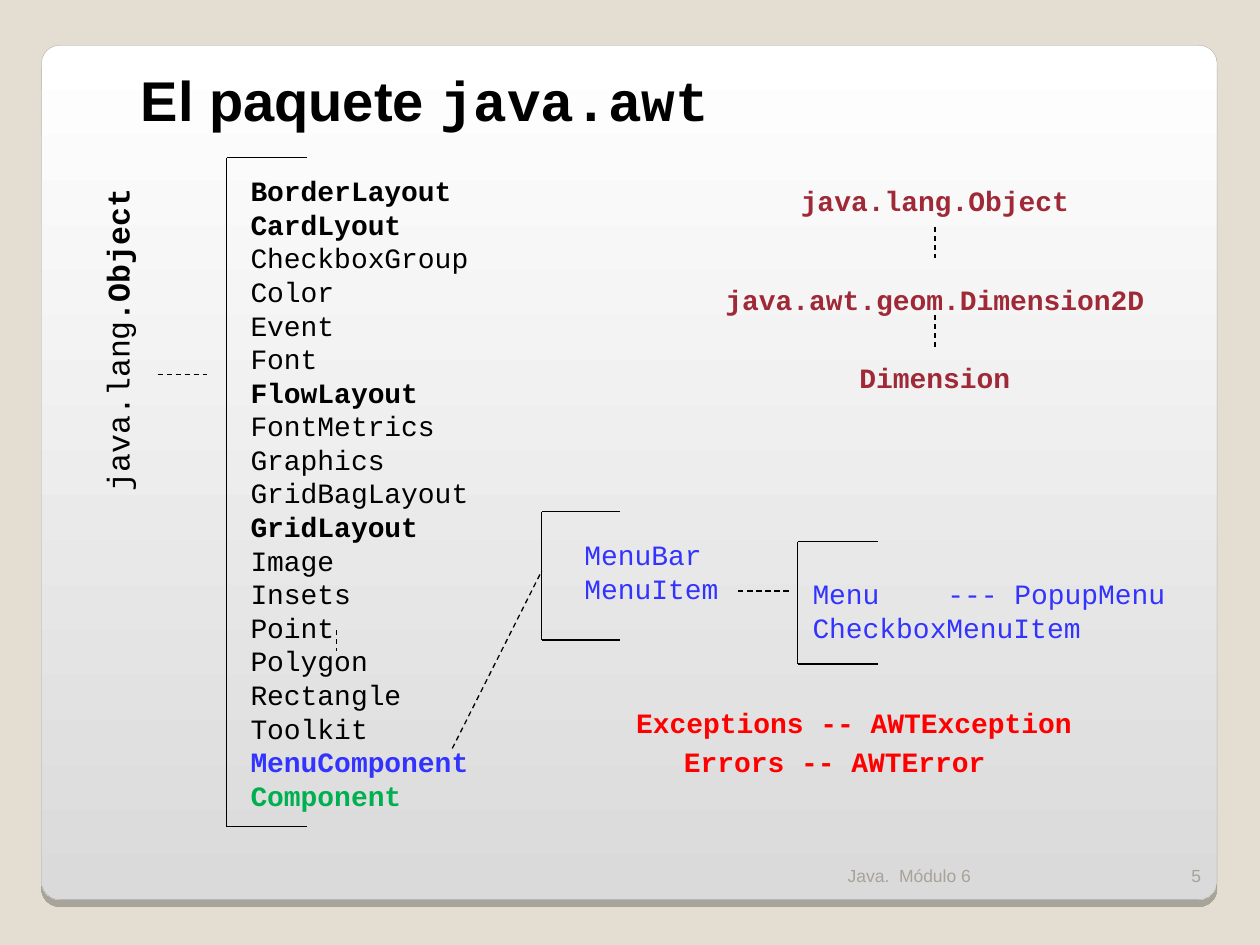
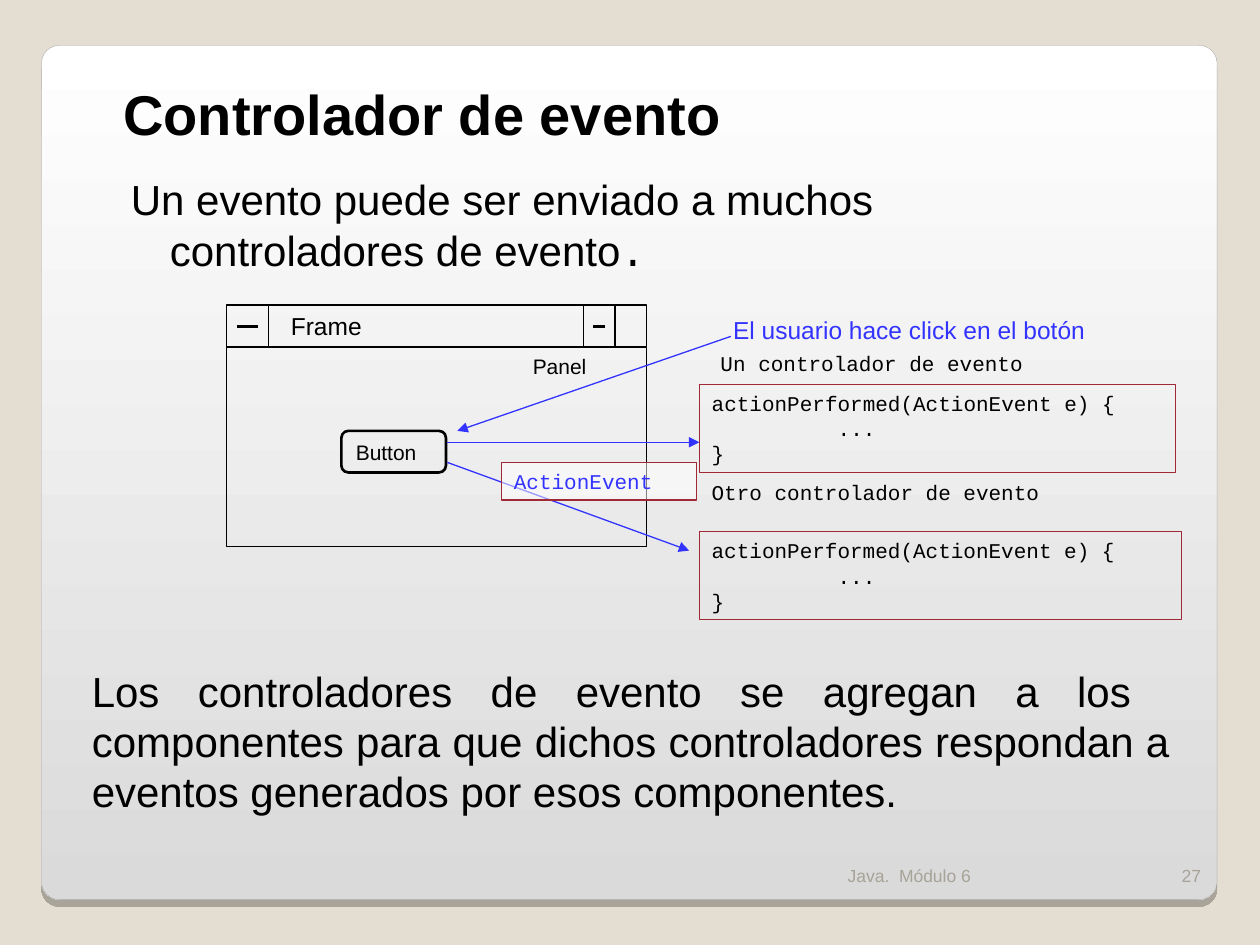
from lxml.etree import SubElement
from pptx import Presentation
from pptx.dml.color import RGBColor
from pptx.enum.dml import MSO_LINE
from pptx.enum.shapes import MSO_CONNECTOR, MSO_SHAPE
from pptx.enum.text import MSO_ANCHOR, PP_ALIGN
from pptx.oxml.ns import qn
from pptx.util import Inches, Pt

COLORS = {
    "background": "E3DED1", "panel_top": "FFFFFF", "panel_bottom": "DADADA",
    "panel_line": "A4A3A3", "footer": "A7A399", "black": "000000",
    "white": "FFFFFF", "blue": "3333FF", "green": "00B050",
    "red": "FF0000", "wine": "9F2936",
}
SANS, MONO = "Arial", "Courier New"
FOOTER = "Java.  Módulo 6"
LAYOUT_CLASSES = {"BorderLayout", "CardLyout", "FlowLayout", "GridLayout"}
CLASSES = [
    "BorderLayout", "CardLyout", "CheckboxGroup", "Color", "Event", "Font",
    "FlowLayout", "FontMetrics", "Graphics", "GridBagLayout", "GridLayout",
    "Image", "Insets", "Point", "Polygon", "Rectangle", "Toolkit",
    "MenuComponent", "Component",
]
COMPONENT_COLORS = {"MenuComponent": "blue", "Component": "green"}
HANDLER_CODE = ["actionPerformed(ActionEvent e) {", "\t...", "}"]


def rgb(name):
    """Return the named colour."""
    return RGBColor.from_string(COLORS[name])


def add_tab(paragraph, position):
    """Give a paragraph one left tab stop."""
    tabs = SubElement(paragraph._p.get_or_add_pPr(), qn("a:tabLst"))
    SubElement(tabs, qn("a:tab"), pos=str(Inches(position)), algn="l")


def write(shape, lines, size, font=SANS, color="black", bold=False,
          align=PP_ALIGN.LEFT, wrap=True, anchor=MSO_ANCHOR.TOP, tab=None):
    """Fill a shape with lines, each a string or a list of (text, style) runs."""
    frame = shape.text_frame
    frame.word_wrap = wrap
    frame.vertical_anchor = anchor
    for index, line in enumerate(lines):
        paragraph = frame.add_paragraph() if index else frame.paragraphs[0]
        paragraph.alignment = align
        if tab:
            add_tab(paragraph, tab)
        for text, style in [(line, {})] if isinstance(line, str) else line:
            run = paragraph.add_run()
            run.text = text
            run.font.size = Pt(size)
            run.font.name = style.get("font", font)
            run.font.bold = style.get("bold", bold)
            run.font.color.rgb = rgb(style.get("color", color))


def add_text(slide, left, top, width, height, lines, size, **style):
    """Add a text box and return it."""
    shape = slide.shapes.add_textbox(
        Inches(left), Inches(top), Inches(width), Inches(height))
    write(shape, lines, size, **style)
    return shape


def add_box(slide, left, top, width, height, line="black", weight=0.75,
            kind=MSO_SHAPE.RECTANGLE):
    """Add an unfilled outlined shape."""
    shape = slide.shapes.add_shape(
        kind, Inches(left), Inches(top), Inches(width), Inches(height))
    shape.shadow.inherit = False
    shape.fill.background()
    shape.line.color.rgb = rgb(line)
    shape.line.width = Pt(weight)
    return shape


def add_line(slide, start, end, color="black", weight=0.75, dashed=False,
             arrow=False):
    """Add a straight line, dashed or with an arrowhead if asked."""
    connector = slide.shapes.add_connector(
        MSO_CONNECTOR.STRAIGHT, *(Inches(value) for value in (*start, *end)))
    connector.line.color.rgb = rgb(color)
    connector.line.width = Pt(weight)
    if dashed:
        connector.line.dash_style = MSO_LINE.DASH
    if arrow:
        SubElement(connector.line._get_or_add_ln(), qn("a:tailEnd"), type="triangle")
    SubElement(connector._element.spPr, qn("a:effectLst"))
    return connector


def add_bracket(slide, left, top, width, height):
    """Draw a square bracket that opens to the right."""
    bottom = top + height
    add_line(slide, (left, top), (left, bottom))
    for edge in (top, bottom):
        add_line(slide, (left, edge), (left + width, edge))


def add_panel(slide, left, top, width, height):
    """Draw the rounded gradient panel with its lower edge shadow."""
    panel = add_box(slide, left, top, width, height, "panel_line", 0.17,
                    MSO_SHAPE.ROUNDED_RECTANGLE)
    panel.adjustments[0] = 0.021
    panel.fill.gradient()
    panel.fill.gradient_angle = 270
    for stop, name in zip(panel.fill.gradient_stops, ("panel_top", "panel_bottom")):
        stop.color.rgb = rgb(name)
    effects = panel._element.spPr.find(qn("a:effectLst"))
    shadow = SubElement(effects, qn("a:outerShdw"), blurRad="0",
                        dist=str(Pt(4)), dir="5400000", algn="t", rotWithShape="0")
    tint = SubElement(shadow, qn("a:srgbClr"), val=COLORS["black"])
    SubElement(tint, qn("a:alpha"), val="25000")


def add_base_slide(presentation, number, title, left, top):
    """Add a slide with background, panel, footer and title."""
    slide = presentation.slides.add_slide(presentation.slide_layouts[6])
    slide.background.fill.solid()
    slide.background.fill.fore_color.rgb = rgb("background")
    add_panel(slide, 0.33, 0.36, 9.33, 6.78)
    footer = {"size": 10, "color": "footer", "anchor": MSO_ANCHOR.BOTTOM}
    add_text(slide, 6.63, 6.68, 2.5, 0.4, [FOOTER], **footer)
    add_text(slide, 9.13, 6.68, 0.5, 0.4, [number], align=PP_ALIGN.RIGHT, **footer)
    add_text(slide, left, top, 7.4, 0.64, [title], 32, bold=True)
    return slide


def add_class_list(slide, left, top):
    """List the package classes in a bracket under their root class."""
    root = add_text(slide, left - 2.17, top + 1.25, 2.6, 0.4,
                    [[("java.lang", {}), (".Object", {"bold": True})]], 18,
                    font=MONO, align=PP_ALIGN.RIGHT)
    root.rotation = 270
    add_line(slide, (left - 0.55, top + 1.72), (left - 0.16, top + 1.72), dashed=True)
    add_bracket(slide, left, top, 0.64, 5.31)
    lines = [[(name, {"bold": name in LAYOUT_CLASSES or name in COMPONENT_COLORS,
                      "color": COMPONENT_COLORS.get(name, "black")})]
             for name in CLASSES]
    add_text(slide, left + 0.09, top + 0.08, 2.1, 5.43, lines, 16, font=MONO)
    add_line(slide, (left + 0.87, top + 3.75), (left + 0.87, top + 3.92), dashed=True)


def add_menu_tree(slide, left, top):
    """Show the menu classes as two linked brackets."""
    style = {"size": 16, "font": MONO, "color": "blue"}
    add_line(slide, (left - 0.71, top + 1.88), (left, top + 0.47), dashed=True)
    add_bracket(slide, left, top, 0.62, 1.02)
    add_text(slide, left + 0.24, top + 0.16, 1.4, 0.64, ["MenuBar", "MenuItem"], **style)
    add_line(slide, (left + 1.56, top + 0.63), (left + 1.97, top + 0.63), dashed=True)
    add_bracket(slide, left + 2.03, top + 0.24, 0.64, 0.97)
    add_text(slide, left + 2.05, top + 0.47, 3.15, 0.64,
             ["Menu\t--- PopupMenu", "CheckboxMenuItem"], tab=1.07, **style)


def add_dimension_chain(slide, center, top):
    """Show the ancestors of Dimension on a vertical axis."""
    width = 3.8
    for name, offset in (("java.lang.Object", 0), ("java.awt.geom.Dimension2D", 0.78),
                         ("Dimension", 1.4)):
        add_text(slide, center - width / 2, top + offset, width, 0.37, [name], 16,
                 font=MONO, color="wine", bold=True, align=PP_ALIGN.CENTER)
    for offset in (0.39, 1.09):
        add_line(slide, (center, top + offset), (center, top + offset + 0.25), dashed=True)


def add_failures(slide, left, top):
    """Name the exception and error classes."""
    style = {"size": 16, "font": MONO, "color": "red", "bold": True}
    add_text(slide, left, top, 3.8, 0.37, ["Exceptions -- AWTException"], **style)
    add_text(slide, left + 0.38, top + 0.31, 2.75, 0.37, ["Errors -- AWTError"], **style)


def add_window(slide, left, top):
    """Draw the frame window with its title bar, panel and button."""
    bar = 0.33
    for offset, width in ((bar, 2.5), (0, bar)):
        add_box(slide, left + offset, top, width, bar)
    controls = add_box(slide, left + 2.83, top, 0.5, bar)
    divider = add_line(slide, (left + 3.08, top), (left + 3.08, top + bar))
    divider.begin_connect(controls, 0)
    divider.end_connect(controls, 2)
    for start, end in ((0.08, 0.25), (2.91, 3.0)):
        add_line(slide, (left + start, top + 0.17), (left + end, top + 0.17), weight=2)
    add_text(slide, left + 0.41, top, 1.08, 0.34, ["Frame"], 14)
    add_box(slide, left, top + 0.34, 3.33, 1.58)
    add_text(slide, left + 2.33, top + 0.34, 0.75, 0.3, ["Panel"], 12)
    button = add_box(slide, left + 0.91, top + 1, 0.83, 0.33, weight=1.5,
                     kind=MSO_SHAPE.ROUNDED_RECTANGLE)
    write(button, ["Button"], 12)


def add_handler(slide, left, top, width, caption, caption_left, caption_top):
    """Add a boxed handler method with its caption."""
    box = add_box(slide, left, top, width, 0.7, "wine")
    write(box, HANDLER_CODE, 12, font=MONO, tab=1)
    add_text(slide, left + caption_left, top + caption_top, 3.5, 0.3, [caption], 12,
             font=MONO)


def add_event_flow(slide, left, top):
    """Show the click and the event sent from the button to both handlers."""
    add_text(slide, left + 3.92, top + 0.03, 3.2, 0.34,
             ["El usuario hace click en el botón"], 14, color="blue")
    arrows = [((4, 0.25), (1.83, 1)), ((1.75, 1.25), (3.67, 1.95)),
              ((1.75, 1.09), (3.75, 1.09))]
    for start, end in arrows:
        add_line(slide, (left + start[0], top + start[1]),
                 (left + end[0], top + end[1]), "blue", arrow=True)
    event = add_box(slide, left + 2.18, top + 1.25, 1.55, 0.3, "wine")
    event.fill.solid()
    event.fill.fore_color.rgb = rgb("white")
    fill_color = event._element.spPr.find(qn("a:solidFill"))[0]
    SubElement(fill_color, qn("a:alpha"), val="50000")
    write(event, ["ActionEvent"], 12, font=MONO, color="blue")
    add_handler(slide, left + 3.75, top + 0.63, 3.78, "Un controlador de evento",
                0.07, -0.32)
    add_handler(slide, left + 3.75, top + 1.8, 3.83, "Otro controlador de evento",
                0, -0.46)


def build_package_slide(presentation):
    """Build the overview of the java.awt classes."""
    title = [("El paquete ", {}), ("java.awt", {"font": MONO})]
    slide = add_base_slide(presentation, "5", title, 1.02, 0.47)
    add_class_list(slide, 1.8, 1.25)
    add_menu_tree(slide, 4.3, 4.06)
    add_failures(slide, 4.95, 5.55)
    add_dimension_chain(slide, 7.42, 1.41)


def build_handler_slide(presentation):
    """Build the explanation of event handlers."""
    slide = add_base_slide(presentation, "27", "Controlador de evento", 0.88, 0.58)
    sentence = [("Un evento puede ser enviado a muchos controladores de evento", {}),
                (".", {"font": MONO})]
    intro = add_text(slide, 0.94, 1.33, 7.83, 0.9, [sentence], 24)
    properties = intro.text_frame.paragraphs[0]._p.get_or_add_pPr()
    properties.set("marL", str(Inches(0.31)))
    properties.set("indent", str(Inches(-0.31)))
    add_window(slide, 1.8, 2.42)
    add_event_flow(slide, 1.8, 2.42)
    add_text(slide, 0.63, 5.23, 8.75, 1.3,
             ["Los controladores de evento se agregan a los  componentes para que "
              "dichos controladores respondan a eventos generados por esos "
              "componentes."], 24, align=PP_ALIGN.JUSTIFY)


def main():
    """Build and save the presentation."""
    presentation = Presentation()
    presentation.slide_width = Inches(10)
    presentation.slide_height = Inches(7.5)
    build_package_slide(presentation)
    build_handler_slide(presentation)
    presentation.save("out.pptx")


if __name__ == "__main__":
    main()
